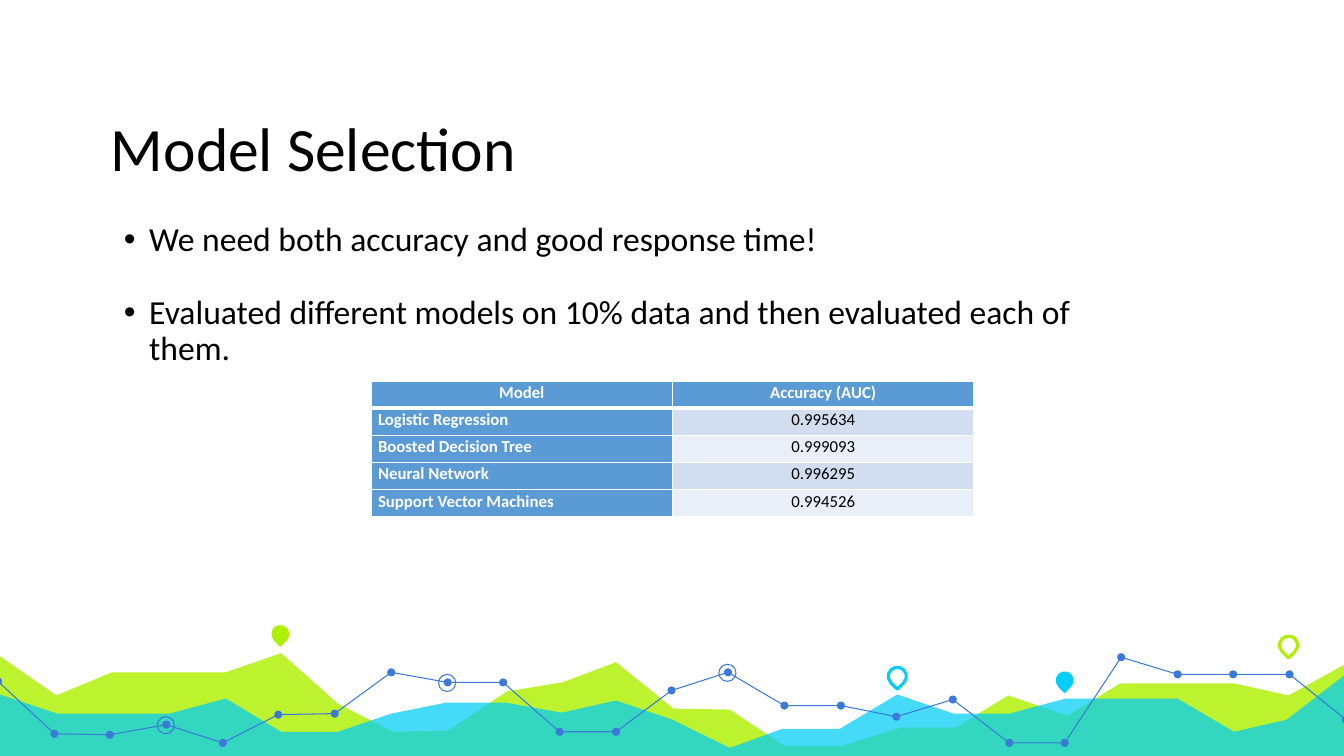
"""Build the Model Selection slide with its accuracy table and wave footer."""
from lxml import etree
from pptx import Presentation
from pptx.dml.color import RGBColor
from pptx.enum.shapes import MSO_SHAPE
from pptx.enum.text import MSO_ANCHOR, PP_ALIGN
from pptx.oxml.ns import qn
from pptx.util import Pt

PX = 9144
FONT = "Calibri"
OVAL, PIN = MSO_SHAPE.OVAL, MSO_SHAPE.TEAR
TOP, BOTTOM = MSO_ANCHOR.TOP, MSO_ANCHOR.BOTTOM
LEFT, CENTER, JUSTIFY = PP_ALIGN.LEFT, PP_ALIGN.CENTER, PP_ALIGN.JUSTIFY
COLORS = {
    "black": "000000", "white": "FFFFFF", "lime": "AFF000", "cyan": "00CEF6",
    "blue": "3C78D8", "header": "5B9BD5", "band_dark": "D2DEEF", "band_light": "EAEFF7",
}


def paint(shape, fill=None, line=None, width=0.75, alpha=100):
    shape.shadow.inherit = False
    if fill:
        shape.fill.solid()
        shape.fill.fore_color.rgb = RGBColor.from_string(COLORS[fill])
        if alpha < 100:
            color = shape.element.spPr.find(qn("a:solidFill"))[0]
            etree.SubElement(color, qn("a:alpha"), val=str(alpha * 1000))
    else:
        shape.fill.background()
    if line:
        shape.line.color.rgb = RGBColor.from_string(COLORS[line])
        shape.line.width = Pt(width)
    else:
        shape.line.fill.background()


def write(frame, text, size, color="black", bold=False, align=LEFT, spacing=0.9,
          inset=(13, 13), anchor=TOP, bullet=False, gap=0):
    frame.word_wrap = True
    frame.vertical_anchor = anchor
    frame.margin_left = frame.margin_right = inset[0] * PX
    frame.margin_top = frame.margin_bottom = inset[1] * PX
    for index, line in enumerate(text.split("\n")):
        paragraph = frame.paragraphs[0] if index == 0 else frame.add_paragraph()
        paragraph.alignment = align
        paragraph.line_spacing = spacing
        paragraph.space_before = Pt(gap if index else 0)
        run = paragraph.add_run()
        run.text = line
        run.font.name, run.font.size, run.font.bold = FONT, Pt(size), bold
        run.font.color.rgb = RGBColor.from_string(COLORS[color])
        if bullet:
            properties = paragraph._p.get_or_add_pPr()
            properties.set("marL", str(75 * PX))
            properties.set("indent", str(-25 * PX))
            etree.SubElement(properties, qn("a:buFont"), typeface="Arial")
            etree.SubElement(properties, qn("a:buChar"), char="•")


presentation = Presentation()
presentation.slide_width, presentation.slide_height = 1333 * PX, 750 * PX
slide = presentation.slides.add_slide(presentation.slide_layouts[6])
shapes = slide.shapes

waves = [
    ("lime", 82, [
        (-3, 649), (56, 690), (111, 667), (224, 667), (279, 648), (335, 698),
        (390, 726), (444, 725), (503, 686), (558, 677), (611, 657), (668, 703),
        (724, 704), (778, 740), (835, 740), (893, 722), (948, 722), (1000, 690),
        (1059, 710), (1111, 678), (1224, 678), (1278, 690), (1336, 658),
        (1335, 752), (-4, 752)]),
    ("cyan", 73, [
        (-3, 688), (57, 708), (168, 708), (224, 693), (279, 726), (335, 726),
        (388, 708), (443, 697), (501, 697), (557, 707), (611, 695), (667, 714),
        (724, 742), (776, 723), (833, 723), (890, 689), (946, 708), (1001, 708),
        (1057, 693), (1168, 693), (1224, 726), (1276, 714), (1336, 668),
        (1336, 753), (-4, 753)]),
]
for color, alpha, points in waves:
    builder = shapes.build_freeform(*points[0], scale=PX)
    builder.add_line_segments(points[1:], close=True)
    paint(builder.convert_to_shape(), fill=color, alpha=alpha)

for left, top, fill, outline in [
    (269, 620, "lime", None), (881, 662, None, "cyan"),
    (1047, 666, "cyan", None), (1269, 631, None, "lime"),
]:
    pin = shapes.add_shape(PIN, left * PX, top * PX, 18 * PX, 18 * PX)
    pin.rotation = 135
    paint(pin, fill, outline, 2.25)

heights = [676, 728, 729, 719, 737, 709, 708, 667, 677, 677, 726, 726, 685,
           667, 700, 700, 711, 694, 737, 737, 652, 669, 669, 669, 714]
trend = [(round(-2 + 55.7 * index), y) for index, y in enumerate(heights)]
for first, last in [(0, 11), (11, 20), (20, 24)]:
    builder = shapes.build_freeform(*trend[first], scale=PX)
    builder.add_line_segments(trend[first + 1:last + 1], close=False)
    paint(builder.convert_to_shape(), line="blue")

for x, y in trend:
    dot = shapes.add_shape(OVAL, (x - 4) * PX, (y - 4) * PX, 8 * PX, 8 * PX)
    paint(dot, fill="blue")

for index in (3, 8, 13):
    x, y = trend[index]
    ring = shapes.add_shape(OVAL, (x - 9) * PX, (y - 8) * PX, 17 * PX, 17 * PX)
    paint(ring, line="blue")

title = shapes.add_textbox(97 * PX, 92 * PX, 1076 * PX, 104 * PX)
write(title.text_frame, "Model Selection", 44, anchor=BOTTOM)

body = shapes.add_textbox(60 * PX, 208 * PX, 1024 * PX, 287 * PX)
write(body.text_frame,
      "We need both accuracy and good response time!\n"
      "Evaluated different models on 10% data and then evaluated each of them.",
      24, bullet=True, gap=26)

results = [
    ("Model", "Accuracy (AUC)"),
    ("Logistic Regression", "0.995634"),
    ("Boosted Decision Tree", "0.999093"),
    ("Neural Network", "0.996295"),
    ("Support Vector Machines", "0.994526"),
]
table = shapes.add_table(len(results), 2, 368 * PX, 378 * PX, 598 * PX, 135 * PX).table
for column in table.columns:
    column.width = 299 * PX
for row, values in enumerate(results):
    table.rows[row].height = 27 * PX
    for column, value in enumerate(values):
        cell = table.cell(row, column)
        heading = row == 0 or column == 0
        write(cell.text_frame, value, 12, "white" if heading else "black", heading,
              JUSTIFY if row and column == 0 else CENTER, 1.07)
        cell.margin_left = cell.margin_right = 7 * PX
        cell.margin_top = cell.margin_bottom = 0
        cell.vertical_anchor = TOP
        properties = cell._tc.get_or_add_tcPr()
        for side in "LRTB":
            thick = (row, side) in [(0, "B"), (1, "T")]
            border = etree.SubElement(properties, qn(f"a:ln{side}"), w=str(Pt(3 if thick else 1)))
            border_fill = etree.SubElement(border, qn("a:solidFill"))
            etree.SubElement(border_fill, qn("a:srgbClr"), val=COLORS["white"])
        band = "header" if heading else "band_dark" if row % 2 else "band_light"
        cell.fill.solid()
        cell.fill.fore_color.rgb = RGBColor.from_string(COLORS[band])

presentation.save("out.pptx")
